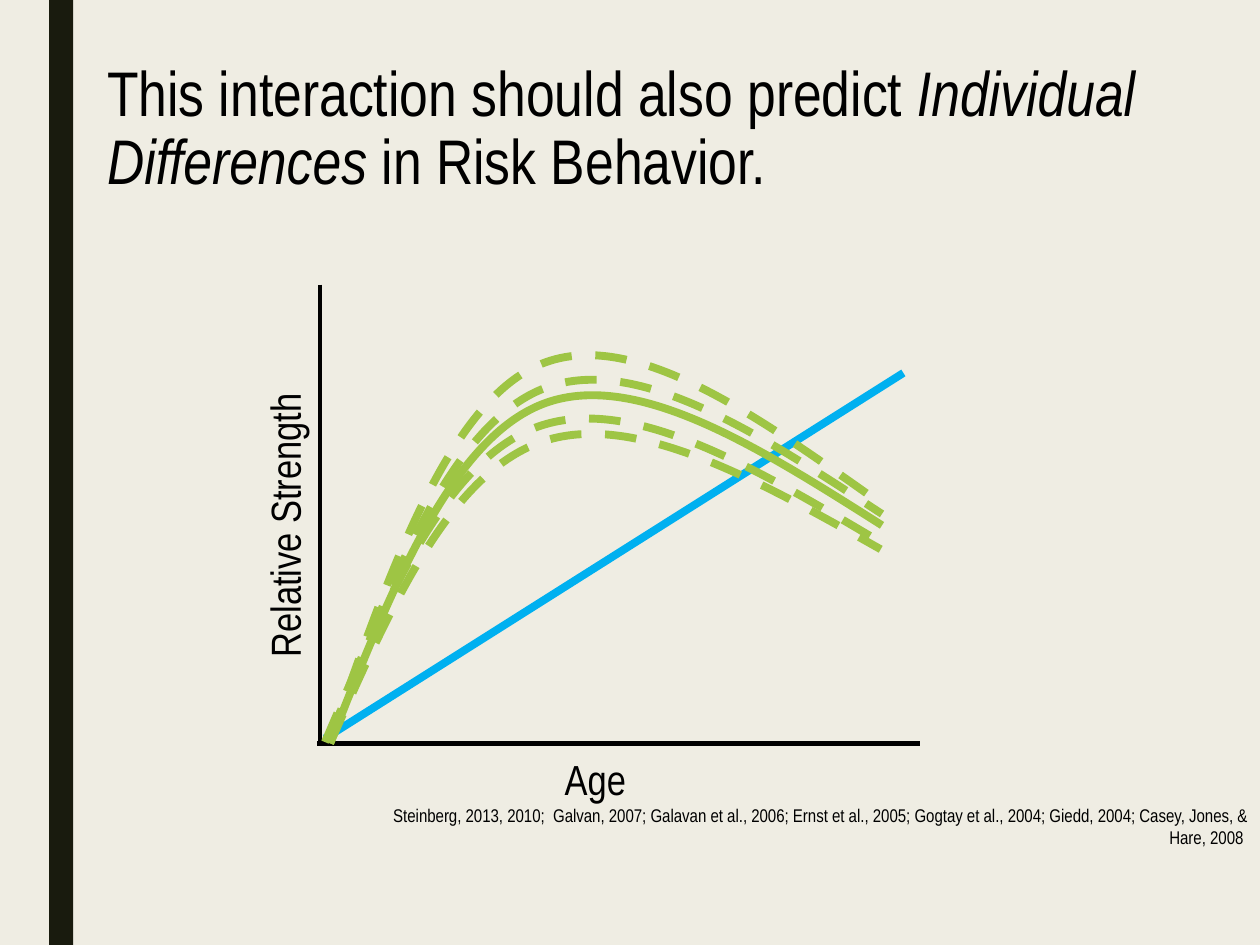
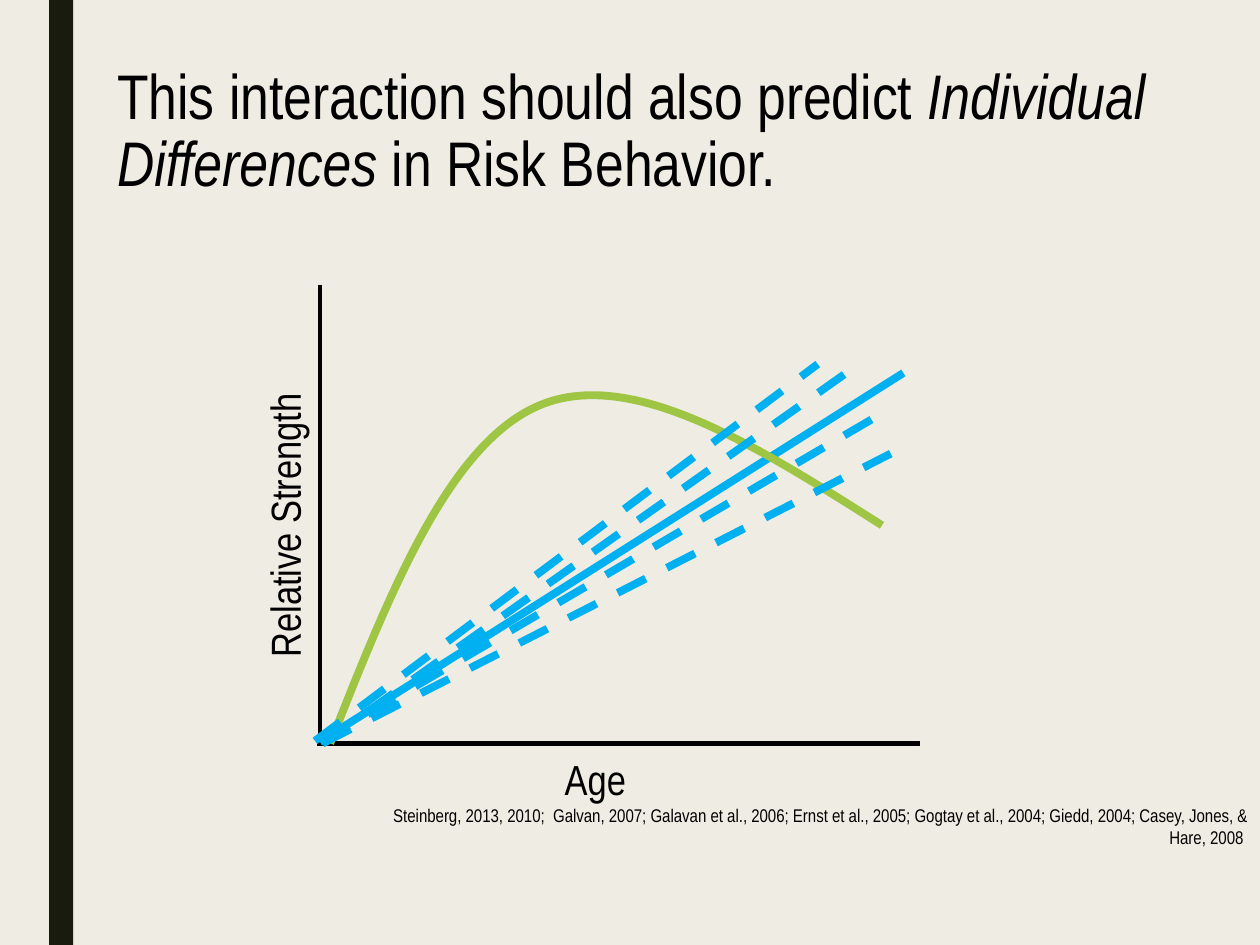
import pptx
import pptx.dml.color
import pptx.enum.dml
import pptx.enum.shapes
import pptx.enum.text
import pptx.oxml.ns
import pptx.util
import lxml.etree

Inches = pptx.util.Inches
Align = pptx.enum.text.PP_ALIGN
qn = pptx.oxml.ns.qn

COLOURS = {
    "background": "EFEDE3",
    "band": "191B0E",
    "ink": "000000",
    "reward": "9EC544",
    "control": "00B0F0",
}
FONT = "Arial Narrow"

TITLE_RUNS = [
    ("This interaction should also predict ", False),
    ("Individual Differences ", True),
    ("in Risk Behavior.", False),
]
CITATION = (
    "Steinberg, 2013, 2010;  Galvan, 2007; Galavan et al., 2006; Ernst et al., 2005; "
    "Gogtay et al., 2004; Giedd, 2004; Casey, Jones, & Hare, 2008 "
)

# Each curve: start, control point before the joint, joint near the peak, end
MAIN_CURVE = [(2.62, 5.9), (3.57, 3.5), (4.3, 3.21), (7, 4.17)]
CURVE_VARIANTS = [
    [(2.62, 5.88), (3.55, 3.22), (4.27, 2.9), (6.94, 3.96)],
    [(2.62, 5.9), (3.56, 3.77), (4.29, 3.51), (6.99, 4.36)],
    [(2.58, 5.89), (3.53, 3.66), (4.26, 3.39), (6.95, 4.28)],
    [(2.62, 5.86), (3.57, 3.39), (4.3, 3.09), (7, 4.08)],
]
MAIN_LINE = [(2.58, 5.86), (7.17, 2.96)]
LINE_VARIANTS = [
    [(2.54, 5.89), (7.07, 3.24)],
    [(2.56, 5.9), (6.83, 2.88)],
    [(2.56, 5.9), (7.07, 3.6)],
    [(2.5, 5.88), (6.49, 2.89)],
]


def colour(name):
    return pptx.dml.color.RGBColor.from_string(COLOURS[name])


def write_text(shape, runs, size, align=None, line_spacing=None):
    """Fill a shape with one paragraph made of (text, italic) runs."""
    frame = shape.text_frame
    frame.word_wrap = True
    frame.vertical_anchor = pptx.enum.text.MSO_ANCHOR.TOP
    paragraph = frame.paragraphs[0]
    paragraph.alignment = align
    paragraph.line_spacing = line_spacing
    for text, italic in runs:
        run = paragraph.add_run()
        run.text = text
        run.font.name = FONT
        run.font.size = pptx.util.Pt(size)
        run.font.italic = italic
        run.font.color.rgb = colour("ink")


def style_line(line, colour_name, width, dashed):
    line.color.rgb = colour(colour_name)
    line.width = pptx.util.Pt(width)
    if dashed:
        line.dash_style = pptx.enum.dml.MSO_LINE.DASH


def add_line(shapes, ends, colour_name, width=4.5, dashed=False):
    (x1, y1), (x2, y2) = ends
    connector = shapes.add_connector(
        pptx.enum.shapes.MSO_CONNECTOR.STRAIGHT,
        Inches(x1), Inches(y1), Inches(x2), Inches(y2))
    style_line(connector.line, colour_name, width, dashed)
    lxml.etree.SubElement(connector.element.spPr, qn("a:effectLst"))


def midpoint(a, b):
    return (a[0] + b[0]) / 2, (a[1] + b[1]) / 2


def highest_y(controls, steps=100):
    """Smallest y that a cubic curve reaches."""
    y0, y1, y2, y3 = (y for _, y in controls)
    return min((1 - t) ** 3 * y0 + 3 * t * (1 - t) ** 2 * y1
               + 3 * t ** 2 * (1 - t) * y2 + t ** 3 * y3
               for t in (step / steps for step in range(steps + 1)))


def add_curve(slide, curve, dashed=False):
    start, before_joint, joint, end = curve
    # Mirroring the control point keeps the curve smooth at the joint
    after_joint = tuple(2 * j - b for j, b in zip(joint, before_joint))
    rise = (midpoint(start, before_joint), before_joint, joint)
    fall = (after_joint, midpoint(after_joint, end), end)

    # Three corners set the size of the shape
    top = highest_y((joint, *fall))
    builder = slide.shapes.build_freeform(Inches(start[0]), Inches(start[1]))
    builder.add_line_segments(
        [(Inches(x), Inches(y)) for x, y in ((joint[0], top), end)], close=False)
    shape = builder.convert_to_shape()

    # Cubic segments take the place of the straight ones
    outline = shape.element.find(".//" + qn("a:path"))
    for straight in outline.findall(qn("a:lnTo")):
        outline.remove(straight)
    for segment in (rise, fall):
        cubic = lxml.etree.SubElement(outline, qn("a:cubicBezTo"))
        for x, y in segment:
            lxml.etree.SubElement(cubic, qn("a:pt"), x=str(Inches(x) - shape.left),
                                  y=str(Inches(y) - shape.top))

    shape.shadow.inherit = False
    shape.fill.background()
    style_line(shape.line, "reward", 4.5, dashed)


def add_label(slide, text, left, top, width, height, size, align, rotation=0):
    box = slide.shapes.add_textbox(
        Inches(left), Inches(top), Inches(width), Inches(height))
    box.rotation = rotation
    write_text(box, [(text, None)], size, align)
    box.text_frame.auto_size = pptx.enum.text.MSO_AUTO_SIZE.SHAPE_TO_FIT_TEXT


def add_title(slide, left, top, width):
    title = slide.shapes.title
    title.left, title.top = Inches(left), Inches(top)
    title.width, title.height = Inches(width), Inches(1.32)
    title.text_frame.auto_size = pptx.enum.text.MSO_AUTO_SIZE.NONE
    write_text(title, TITLE_RUNS, 36, Align.LEFT, line_spacing=0.89)


def add_graph_frame(slide):
    """Axes, citation and axis names."""
    axes = slide.shapes.add_group_shape().shapes
    add_line(axes, [(2.54, 2.26), (2.54, 5.9)], "ink", 2.75)
    add_line(axes, [(7.3, 5.9), (2.52, 5.9)], "ink", 2.75)
    add_label(slide, CITATION, 2.72, 6.33, 7.28, 0.28, 10.5, Align.RIGHT)
    add_label(slide, "Relative Strength", 0.4, 3.92, 3.71, 0.5, 24, Align.CENTER, 270)
    add_label(slide, "Age", 2.87, 5.93, 3.71, 0.5, 24, Align.CENTER)


def add_graph_slide(presentation, layout, title_place):
    slide = presentation.slides.add_slide(layout)
    add_title(slide, *title_place)
    add_graph_frame(slide)
    add_line(slide.shapes, MAIN_LINE, "control")
    add_curve(slide, MAIN_CURVE)
    return slide


def move_band_to_master(slide, master, height):
    """Draw the side band and hand it to the master that all slides share."""
    band = slide.shapes.add_shape(
        pptx.enum.shapes.MSO_SHAPE.RECTANGLE, Inches(0.39), 0, Inches(0.19), height)
    band.shadow.inherit = False
    band.fill.solid()
    band.fill.fore_color.rgb = colour("band")
    band.line.fill.background()
    master.shapes.element.insert(2, band.element)


def main():
    presentation = pptx.Presentation()
    presentation.slide_width, presentation.slide_height = Inches(10), Inches(7.5)
    master = presentation.slide_master
    layout = presentation.slide_layouts[5]

    # Shared background
    background = master.background.fill
    background.solid()
    background.fore_color.rgb = colour("background")

    # Slide 1: the curve varies between individuals
    curve_slide = add_graph_slide(presentation, layout, (0.75, 0.45, 8.83))
    for curve in CURVE_VARIANTS:
        add_curve(curve_slide, curve, dashed=True)
    move_band_to_master(curve_slide, master, presentation.slide_height)

    # Slide 2: the straight line varies between individuals
    line_slide = add_graph_slide(presentation, layout, (0.83, 0.47, 10))
    for ends in LINE_VARIANTS:
        add_line(line_slide.shapes, ends, "control", dashed=True)

    presentation.save("out.pptx")


if __name__ == "__main__":
    main()
